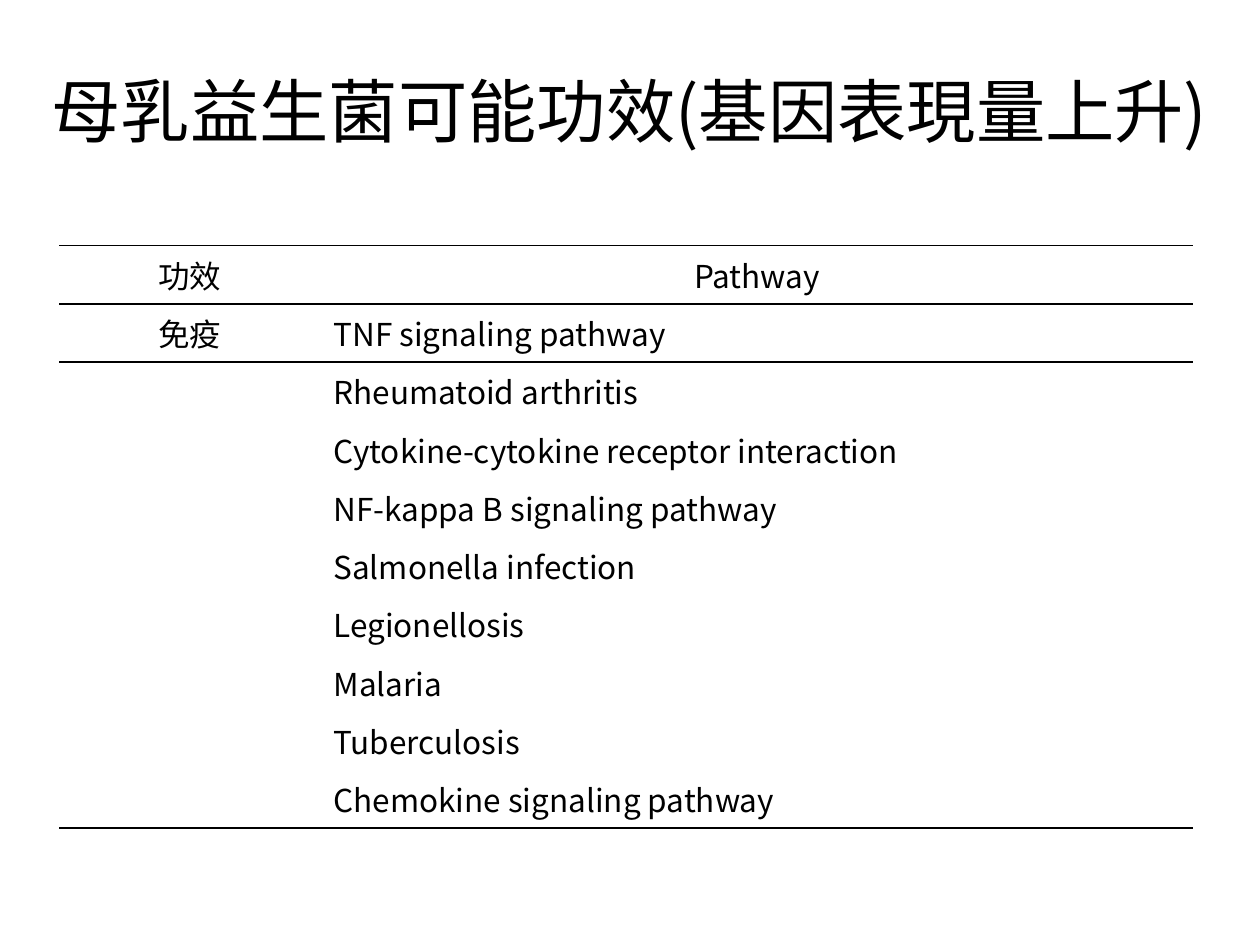
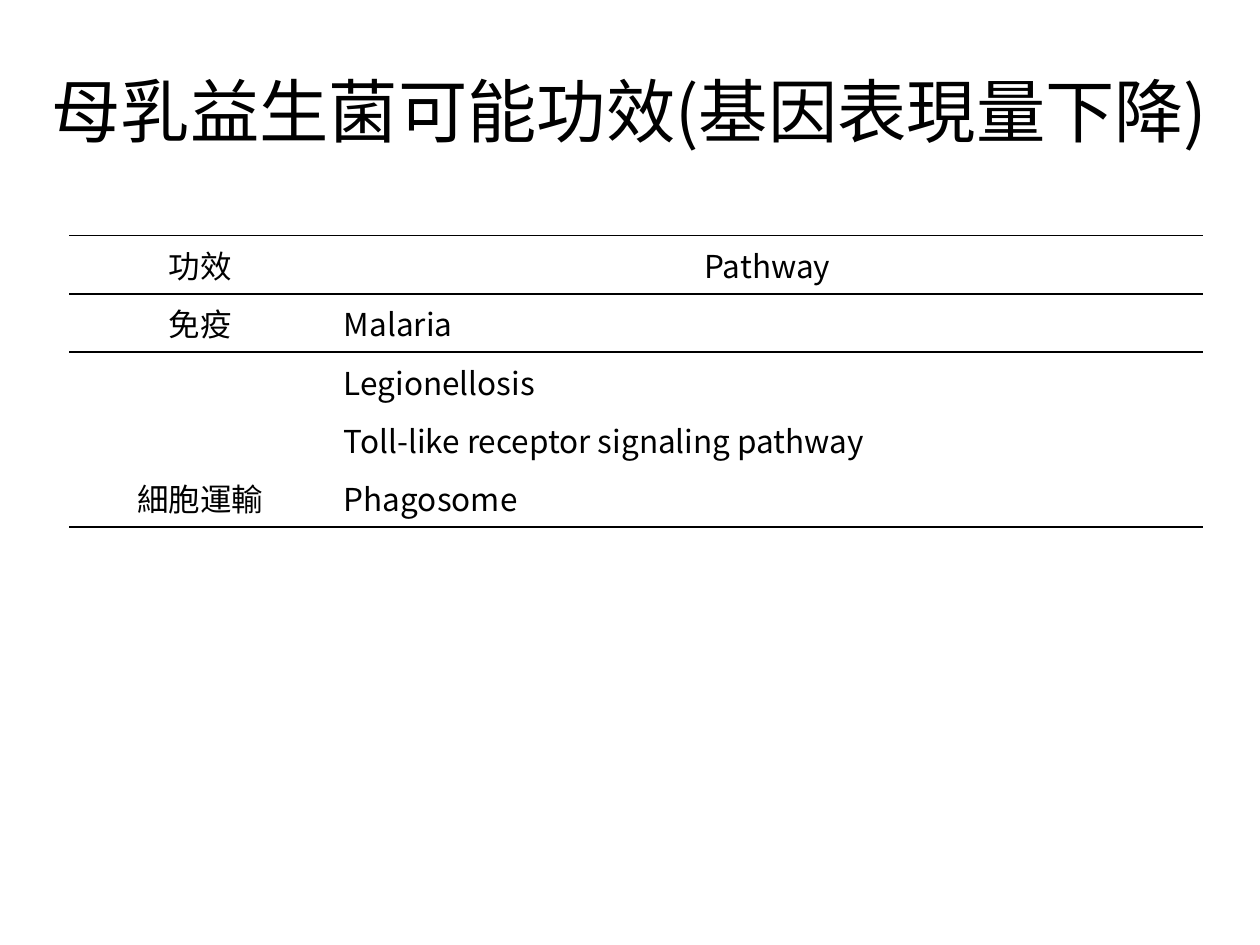
from lxml import etree
from pptx import Presentation
from pptx.dml.color import RGBColor
from pptx.enum.text import MSO_ANCHOR, MSO_AUTO_SIZE, PP_ALIGN
from pptx.oxml.ns import qn
from pptx.util import Cm, Pt

CENTER, LEFT = PP_ALIGN.CENTER, PP_ALIGN.LEFT
MIDDLE = MSO_ANCHOR.MIDDLE
NO_AUTOFIT = MSO_AUTO_SIZE.NONE
TITLE_ONLY = 5
PLAIN_TABLE_STYLE = "{2D5ABB26-0587-4C30-8999-92F81FD0307C}"

HEADER = ("功效", "Pathway")
RAISED = [
    ("免疫", [
        "TNF signaling pathway",
        "Rheumatoid arthritis",
        "Cytokine-cytokine receptor interaction",
        "NF-kappa B signaling pathway",
        "Salmonella infection",
        "Legionellosis",
        "Malaria",
        "Tuberculosis",
        "Chemokine signaling pathway",
    ]),
]
LOWERED = [
    ("免疫", [
        "Malaria",
        "Legionellosis",
        "Toll-like receptor signaling pathway",
    ]),
    ("細胞運輸", ["Phagosome"]),
]


def color(value):
    return RGBColor.from_string(value)


class Deck:
    font_name = "Noto Sans CJK SC"
    ink = "000000"
    title_size = 39.6
    body_size = 18
    rule_width = 1
    column_widths = (5.28, 17.58)
    row_height = 1.03

    def __init__(self):
        self.presentation = Presentation()
        self.presentation.slide_width = Cm(25.4)
        self.presentation.slide_height = Cm(19.05)
        self.slide = None

    def add_slide(self, heading):
        layout = self.presentation.slide_layouts[TITLE_ONLY]
        self.slide = self.presentation.slides.add_slide(layout)
        title = self.slide.shapes.title
        title.left, title.top = Cm(0.59), Cm(0.76)
        title.width, title.height = Cm(24.2), Cm(3.18)
        frame = title.text_frame
        frame.text = heading
        frame.auto_size = NO_AUTOFIT
        frame.vertical_anchor = MIDDLE
        paragraph = frame.paragraphs[0]
        paragraph.line_spacing = 0.82
        self.style(paragraph, self.title_size, CENTER)

    def style(self, paragraph, size, alignment):
        paragraph.alignment = alignment
        font = paragraph.font
        font.size = Pt(size)
        font.color.rgb = color(self.ink)
        font.name = self.font_name
        latin = paragraph._p.find(".//" + qn("a:latin"))
        east_asian = etree.Element(qn("a:ea"), typeface=self.font_name)
        latin.addnext(east_asian)

    def rule(self, cell, side):
        properties = cell._tc.get_or_add_tcPr()
        line = etree.SubElement(properties, qn(f"a:ln{side}"), w=str(Pt(self.rule_width)))
        fill = etree.SubElement(line, qn("a:solidFill"))
        etree.SubElement(fill, qn("a:srgbClr"), val=self.ink)

    def add_pathways(self, groups, left, top, header_height):
        rows = [HEADER]
        for effect, pathways in groups:
            rows += [("" if index else effect, pathway)
                     for index, pathway in enumerate(pathways)]
        last = len(rows) - 1
        frame = self.slide.shapes.add_table(
            len(rows), len(HEADER), Cm(left), Cm(top),
            Cm(sum(self.column_widths)), Cm(header_height + last * self.row_height))
        table = frame.table
        table.first_row = table.horz_banding = False
        table._tbl.find(".//" + qn("a:tableStyleId")).text = PLAIN_TABLE_STYLE
        for column, width in zip(table.columns, self.column_widths):
            column.width = Cm(width)
        for row_index, texts in enumerate(rows):
            table.rows[row_index].height = Cm(self.row_height if row_index else header_height)
            for column_index, text in enumerate(texts):
                cell = table.cell(row_index, column_index)
                cell.text = text
                cell.vertical_anchor = MIDDLE
                centred = row_index == 0 or column_index == 0
                self.style(cell.text_frame.paragraphs[0], self.body_size,
                           CENTER if centred else LEFT)
                if row_index in (0, 1):
                    self.rule(cell, "T")
                if row_index in (0, last):
                    self.rule(cell, "B")
                cell.fill.background()

    def save(self):
        self.presentation.save("out.pptx")


def main():
    deck = Deck()
    deck.add_slide("母乳益生菌可能功效(基因表現量上升)")
    deck.add_pathways(RAISED, left=1.19, top=4.95, header_height=1.03)
    deck.add_slide("母乳益生菌可能功效(基因表現量下降)")
    deck.add_pathways(LOWERED, left=1.4, top=4.75, header_height=0.84)
    deck.save()


if __name__ == "__main__":
    main()
